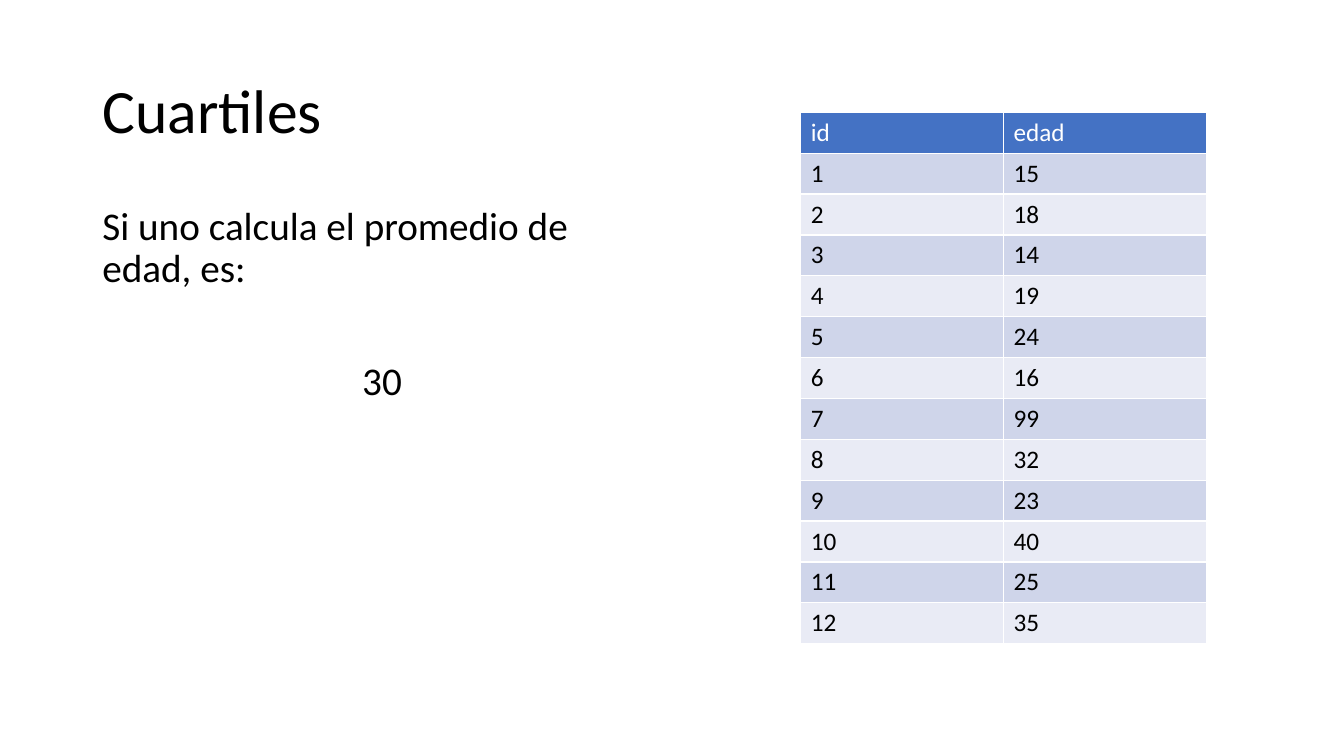
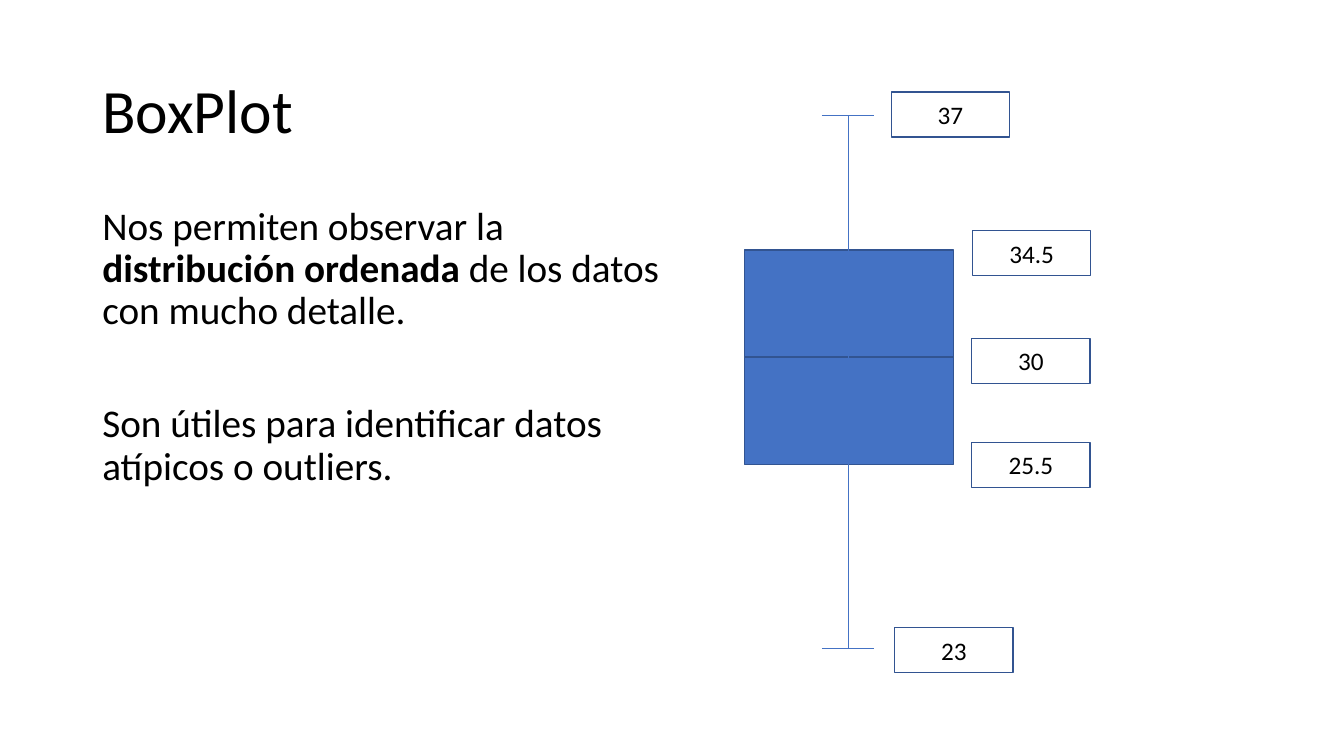
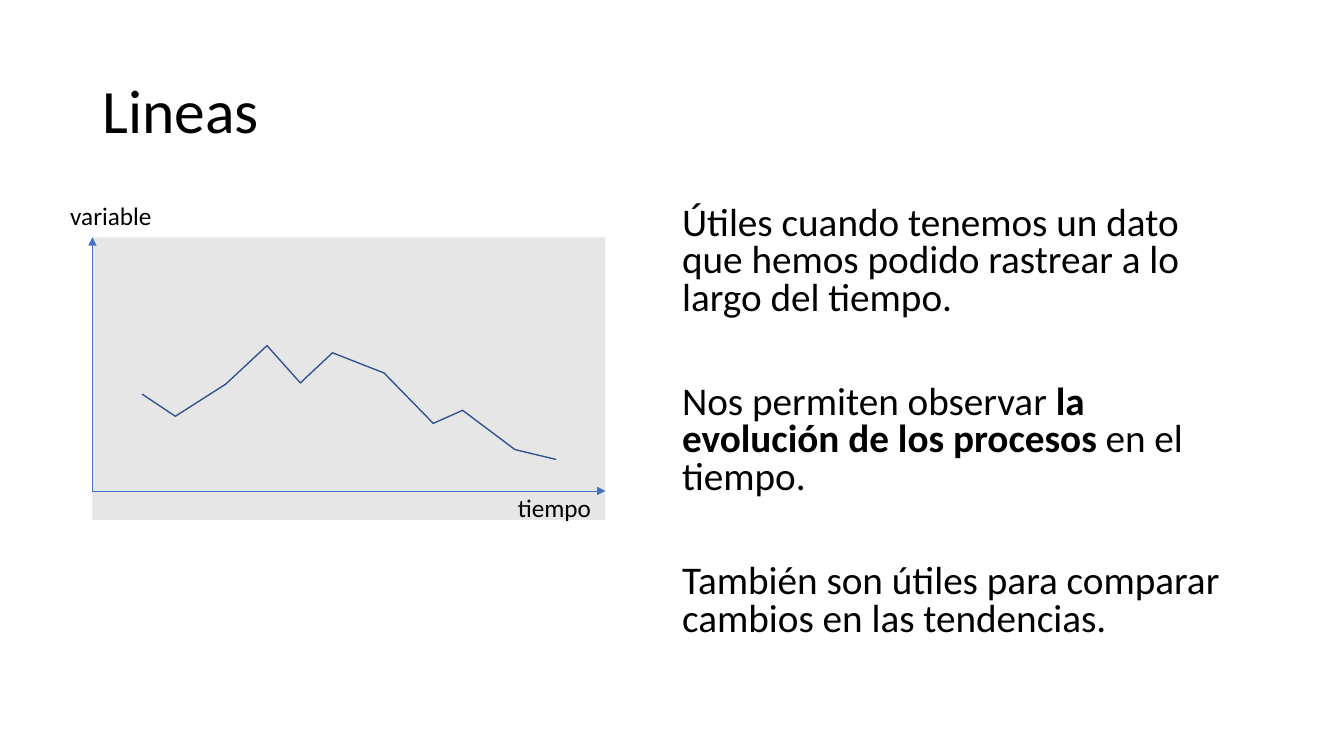
from lxml import etree
from pptx import Presentation
from pptx.dml.color import RGBColor
from pptx.enum.shapes import MSO_CONNECTOR, MSO_SHAPE
from pptx.enum.text import MSO_ANCHOR, PP_ALIGN
from pptx.oxml.ns import qn
from pptx.util import Cm, Pt

LEFT, CENTER = PP_ALIGN.LEFT, PP_ALIGN.CENTER
TOP, MIDDLE = MSO_ANCHOR.TOP, MSO_ANCHOR.MIDDLE
RECTANGLE, STRAIGHT = MSO_SHAPE.RECTANGLE, MSO_CONNECTOR.STRAIGHT

FONT = "Calibri"
BLACK, WHITE, BLUE, NAVY, GRAY = "000000", "FFFFFF", "4472C4", "325491", "E7E6E6"
BANDS = ["E9EBF5", "CFD5EA"]
MARGIN = 2.33


def color(code):
    return RGBColor.from_string(code)


def write(frame, texts, size, ink=BLACK, align=LEFT, anchor=TOP, spacing=1.0, gap=0):
    """Write one paragraph per text; parts between asterisks are bold."""
    frame.word_wrap = True
    frame.vertical_anchor = anchor
    for index, text in enumerate(texts):
        para = frame.add_paragraph() if index else frame.paragraphs[0]
        para.alignment = align
        para.line_spacing = spacing
        para.space_before = Pt(gap if index else 0)
        para.font.name = FONT
        para.font.size = Pt(size)
        para.font.color.rgb = color(ink)
        for part, words in enumerate(text.split("*")):
            span = para.add_run()
            span.text = words
            if part % 2:
                span.font.bold = True


deck = Presentation()
deck.slide_width, deck.slide_height = Cm(33.87), Cm(19.05)

# Titles and body texts: title, left edge of body, line spacing, paragraphs
contents = [
    ("Cuartiles", MARGIN, 0.9, ["Si uno calcula el promedio de edad, es:", "30"]),
    ("BoxPlot", MARGIN, 0.9, [
        "Nos permiten observar la *distribución ordenada *de los datos con mucho detalle.",
        "Son útiles para identificar datos atípicos o outliers."]),
    ("Lineas", 16.94, 0.8, [
        "Útiles cuando tenemos un dato que hemos podido rastrear a lo largo del tiempo.",
        "Nos permiten observar *la evolución de los procesos* en el tiempo.",
        "También son útiles para comparar cambios en las tendencias."]),
]
pages, bodies = [], []
for title, body_left, spacing, texts in contents:
    page = deck.slides.add_slide(deck.slide_layouts[5])
    heading = page.shapes.title
    heading.left, heading.top = Cm(MARGIN), Cm(1.01)
    heading.width, heading.height = Cm(29.21), Cm(3.68)
    write(heading.text_frame, [title], 44, anchor=MIDDLE, spacing=0.9)
    body = page.shapes.add_textbox(Cm(body_left), Cm(5.07), Cm(14.6), Cm(12.09))
    # The gap is one line of text plus 10 points on either side
    write(body.text_frame, texts, 28, spacing=spacing, gap=20 + 34 * spacing)
    pages.append(page)
    bodies.append(body)
quartiles, boxplot, lines = pages
bodies[0].text_frame.paragraphs[1].alignment = CENTER

# Quartiles: table of ages
ages = [15, 18, 14, 19, 24, 16, 99, 32, 23, 40, 25, 35]
rows = [("id", "edad"), *enumerate(ages, start=1)]
table = quartiles.shapes.add_table(
    len(rows), 2, Cm(20.18), Cm(2.83), Cm(10.22), Cm(1.03 * len(rows))).table
for row, values in enumerate(rows):
    table.rows[row].height = Cm(1.03)
    for column, value in enumerate(values):
        cell = table.cell(row, column)
        cell.fill.solid()
        cell.fill.fore_color.rgb = color(BANDS[row % 2] if row else BLUE)
        write(cell.text_frame, [str(value)], 18, BLACK if row else WHITE)

# Box plot: two halves of the box
for half in range(2):
    box = boxplot.shapes.add_shape(
        RECTANGLE, Cm(18.76), Cm(6.3 + 2.7 * half), Cm(5.27), Cm(2.7))
    box.shadow.inherit = False
    box.fill.solid()
    box.fill.fore_color.rgb = color(BLUE)
    box.line.color.rgb = color(NAVY)
    box.line.width = Pt(1)

# Box plot: value labels
for value, left, top in [("37", 22.46, 2.32), ("34.5", 24.51, 5.81), ("30", 24.49, 8.53),
                         ("25.5", 24.49, 11.15), ("23", 22.55, 15.82)]:
    label = boxplot.shapes.add_shape(RECTANGLE, Cm(left), Cm(top), Cm(2.98), Cm(1.13))
    label.shadow.inherit = False
    label.fill.background()
    label.line.color.rgb = color(NAVY)
    label.line.width = Pt(1)
    write(label.text_frame, [value], 18, align=CENTER, anchor=MIDDLE)

# Lines: gray panel and curve
panel = lines.shapes.add_shape(RECTANGLE, Cm(MARGIN), Cm(5.98), Cm(12.93), Cm(7.12))
panel.shadow.inherit = False
panel.fill.solid()
panel.fill.fore_color.rgb = color(GRAY)
panel.line.fill.background()

points = [(3.58, 9.93), (4.42, 10.49), (5.69, 9.68), (6.73, 8.71), (7.57, 9.65), (8.38, 8.89),
          (9.68, 9.4), (10.92, 10.67), (11.66, 10.34), (12.98, 11.33), (14.02, 11.58)]
start, *others = [(Cm(x), Cm(y)) for x, y in points]
builder = lines.shapes.build_freeform(*start)
builder.add_line_segments(others, close=False)
curve = builder.convert_to_shape()
curve.shadow.inherit = False
curve.fill.background()
curve.line.color.rgb = color(NAVY)
curve.line.width = Pt(1)

# Lines: axis names
for name, left, top in [("tiempo", 12.8, 12.27), ("variable", 1.52, 4.93)]:
    axis_name = lines.shapes.add_textbox(Cm(left), Cm(top), Cm(3.3), Cm(1.02))
    write(axis_name.text_frame, [name], 18)

# Whiskers of the box plot and arrows of the axes
strokes = [
    (boxplot, 21.37, 2.9, 21.37, 16.33, False),
    (boxplot, 20.71, 2.9, 22.03, 2.9, False),
    (boxplot, 20.71, 16.33, 22.03, 16.33, False),
    (lines, MARGIN, 12.37, 15.26, 12.37, True),
    (lines, MARGIN, 12.37, MARGIN, 5.98, True),
]
for page, x1, y1, x2, y2, arrow in strokes:
    stroke = page.shapes.add_connector(STRAIGHT, Cm(x1), Cm(y1), Cm(x2), Cm(y2))
    stroke.line.color.rgb = color(BLUE)
    stroke.line.width = Pt(0.5)
    if arrow:
        etree.SubElement(stroke.line._get_or_add_ln(), qn("a:tailEnd"), type="triangle")
    etree.SubElement(stroke._element.spPr, qn("a:effectLst"))

deck.save("out.pptx")
